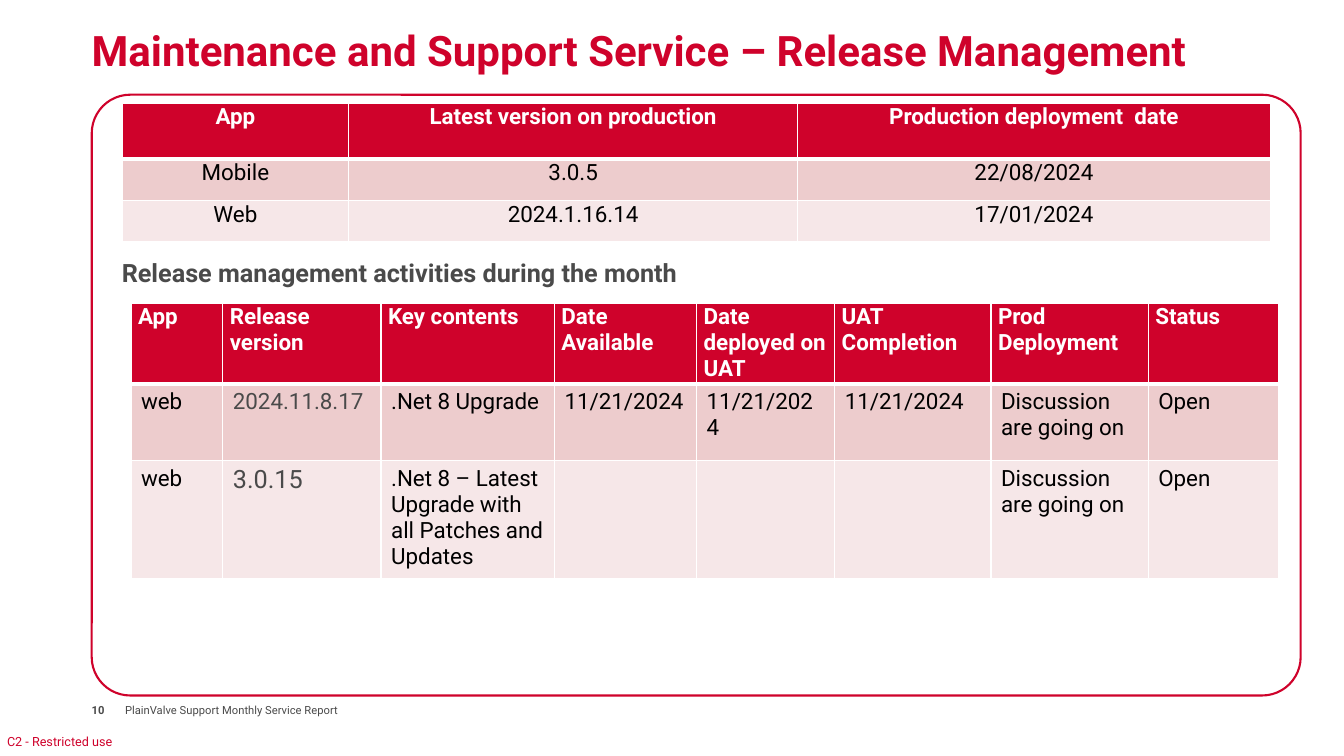
from lxml import etree
from pptx import Presentation
from pptx.dml.color import RGBColor
from pptx.enum.shapes import MSO_SHAPE
from pptx.enum.text import MSO_ANCHOR, PP_ALIGN
from pptx.oxml.ns import qn
from pptx.util import Pt

PX = 9144  # 100 px to the inch
FONT = "Roboto"
RED, GREY, BLACK, WHITE = "CF022B", "4A4A4A", "000000", "FFFFFF"
BANDS = ["EDCCCD", "F6E7E8"]
LEFT, CENTER = PP_ALIGN.LEFT, PP_ALIGN.CENTER
TOP, MIDDLE, BOTTOM = MSO_ANCHOR.TOP, MSO_ANCHOR.MIDDLE, MSO_ANCHOR.BOTTOM
ROUNDED = MSO_SHAPE.ROUNDED_RECTANGLE
HEADER_INSETS = (7, 0, 7, 0)
TIGHT_INSETS = (1, 1, 1, 5)
USUAL_INSETS = (10, 5, 10, 5)

VERSIONS = [
    ["App", "Latest version on production", "Production deployment  date"],
    ["Mobile", "3.0.5", "22/08/2024"],
    ["Web", "2024.1.16.14", "17/01/2024"],
]
ACTIVITIES = [
    ["App", "Release\nversion", "Key contents", "Date\nAvailable",
     "Date deployed on UAT", "UAT Completion", "Prod\nDeployment", "Status"],
    ["web", "2024.11.8.17", ".Net 8 Upgrade", "11/21/2024",
     "11/21/2024", "11/21/2024", "Discussion are going on", "Open"],
    ["web", "3.0.15", ".Net 8 – Latest Upgrade with all Patches and Updates",
     "", "", "", "Discussion are going on", "Open"],
]


def px(*lengths):
    return [length * PX for length in lengths]


def color(hex_value):
    return RGBColor.from_string(hex_value)


def set_insets(target, insets):
    (target.margin_left, target.margin_top,
     target.margin_right, target.margin_bottom) = px(*insets)


def write(frame, text, size, hex_value, bold=False, align=LEFT):
    frame.text = text
    frame.word_wrap = True
    for para in frame.paragraphs:
        para.alignment = align
        for span in para.runs:
            span.font.name = FONT
            span.font.size = Pt(size)
            span.font.bold = bold
            span.font.color.rgb = color(hex_value)


def add_label(page, box, text, size, hex_value, bold=False,
              anchor=TOP, insets=(0, 0, 0, 0)):
    frame = page.shapes.add_textbox(*px(*box)).text_frame
    set_insets(frame, insets)
    frame.vertical_anchor = anchor
    write(frame, text, size, hex_value, bold)


def add_title(page, box, text):
    title = page.shapes.title
    title.left, title.top, title.width, title.height = px(*box)
    set_insets(title.text_frame, (0, 0, 0, 0))
    title.text_frame.vertical_anchor = BOTTOM
    write(title.text_frame, text, 30, RED, True)


def add_panel(page, box):
    panel = page.shapes.add_shape(ROUNDED, *px(*box))
    panel.adjustments[0] = 0.064
    panel.shadow.inherit = False
    panel.fill.solid()
    panel.fill.fore_color.rgb = color(WHITE)
    panel.line.color.rgb = color(RED)
    panel.line.width = Pt(1.5)


def set_borders(cell, top, bottom):
    """Draw white cell borders; top and bottom are widths in points."""
    properties = cell._tc.get_or_add_tcPr()
    widths = {"a:lnL": 1, "a:lnR": 1, "a:lnT": top, "a:lnB": bottom}
    for index, (tag, width) in enumerate(widths.items()):
        line = etree.Element(qn(tag), w=str(Pt(width)))
        fill = etree.SubElement(line, qn("a:solidFill"))
        etree.SubElement(fill, qn("a:srgbClr"), val=WHITE)
        properties.insert(index, line)


def add_grid(page, left, top, widths, heights, rows, insets, align,
             special=None):
    """Add a table; special maps (row, column) to a text size and colour."""
    special = special or {}
    table = page.shapes.add_table(
        len(rows), len(widths),
        *px(left, top, sum(widths), sum(heights))).table
    for column, width in zip(table.columns, widths):
        column.width = width * PX
    for row, height in zip(table.rows, heights):
        row.height = height * PX
    for r, texts in enumerate(rows):
        header = r == 0
        for c, text in enumerate(texts):
            cell = table.cell(r, c)
            set_insets(cell, HEADER_INSETS if header else insets)
            cell.fill.solid()
            cell.fill.fore_color.rgb = color(RED if header else BANDS[r - 1])
            set_borders(cell, 3 if r == 1 else 1, 3 if header else 1)
            size, ink = special.get((r, c), (16, WHITE if header else BLACK))
            write(cell.text_frame, text, size, ink, header, align)


def add_footer(page, left, top):
    add_label(page, (left, top, 39, 28), "10", 8, GREY, True, MIDDLE)
    add_label(page, (left + 33, top, 394, 28),
              "PlainValve Support Monthly Service Report", 8, GREY,
              anchor=MIDDLE)
    add_label(page, (7, top + 38, 113, 15), "C2 - Restricted use", 9, RED)


def build_release_page(deck):
    page = deck.slides.add_slide(deck.slide_layouts[5])
    add_title(page, (91, 0, 1207, 74),
              "Maintenance and Support Service – Release Management")
    add_panel(page, (91, 94, 1199, 596))
    add_grid(page, 121, 103, [225, 445, 469], [55, 41, 41],
             VERSIONS, TIGHT_INSETS, CENTER)
    add_label(page, (111, 250, 654, 40),
              "Release management activities during the month",
              18, GREY, True, insets=USUAL_INSETS)
    add_grid(page, 130, 301, [91, 157, 172, 141, 137, 155, 156, 129],
             [76] * 3, ACTIVITIES, USUAL_INSETS, LEFT,
             {(1, 1): (16, GREY), (2, 1): (18, GREY)})
    add_footer(page, 91, 690)


def main():
    deck = Presentation()
    deck.slide_width, deck.slide_height = px(1333, 750)
    build_release_page(deck)
    deck.save("out.pptx")


if __name__ == "__main__":
    main()
